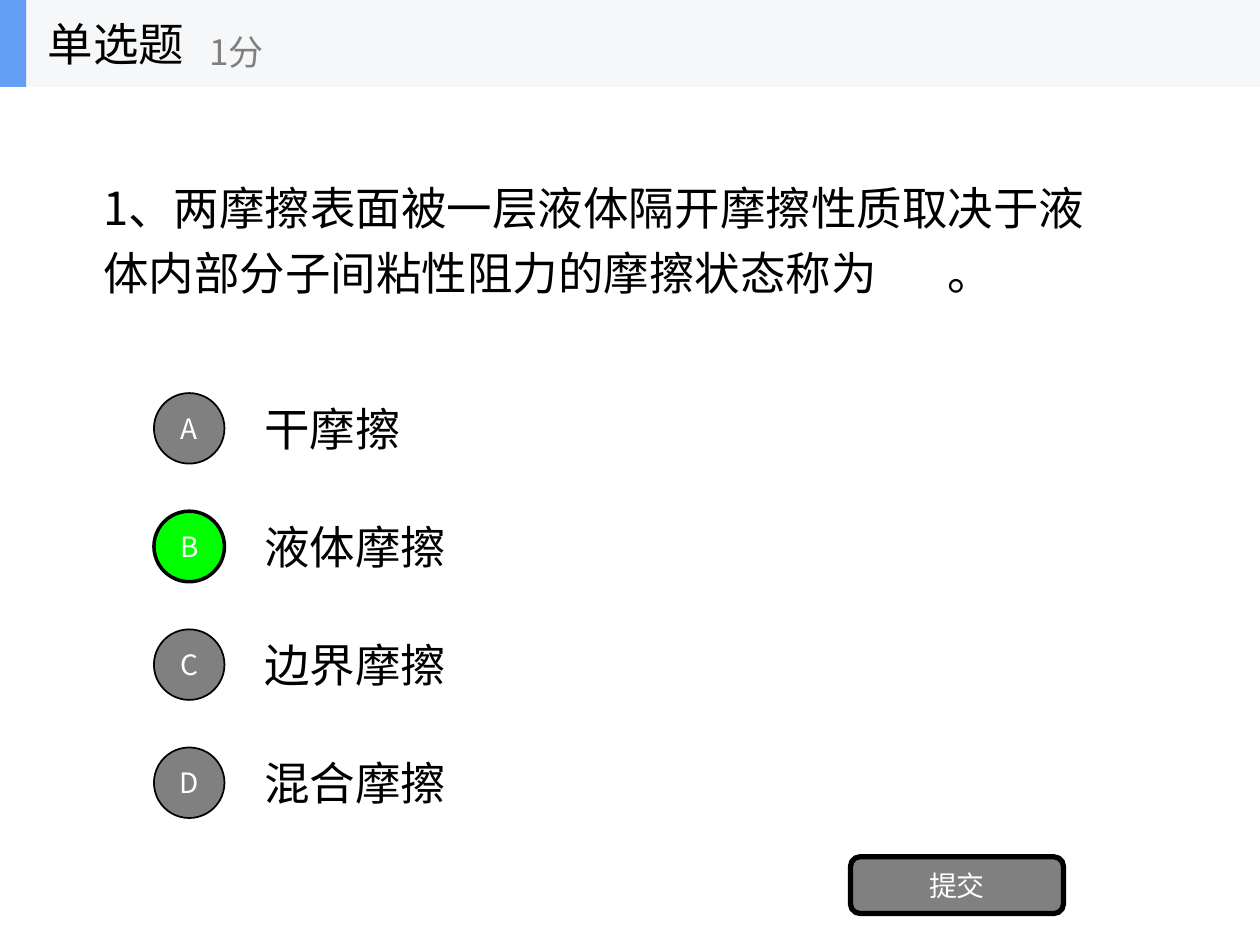
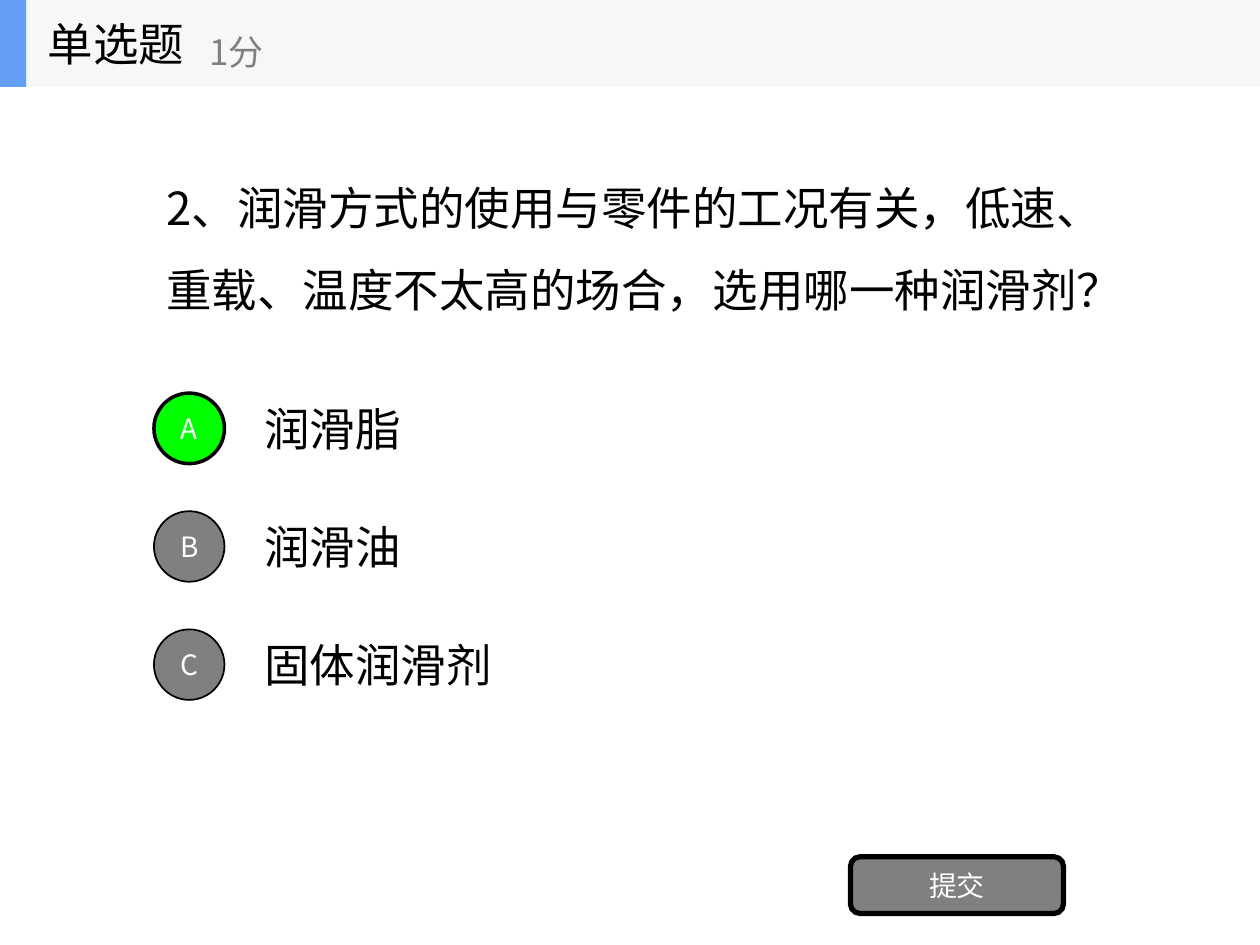
import pptx
import pptx.util
from pptx.dml.color import RGBColor
from pptx.enum.shapes import MSO_SHAPE
from pptx.enum.text import MSO_ANCHOR, MSO_AUTO_SIZE, PP_ALIGN
from pptx.oxml.ns import qn
from lxml import etree

Pt = pptx.util.Pt

FONT = "Noto Sans CJK SC"
BLACK = RGBColor(0x00, 0x00, 0x00)
WHITE = RGBColor(0xFF, 0xFF, 0xFF)
GREY = RGBColor(0x80, 0x80, 0x80)
GREEN = RGBColor(0x00, 0xFF, 0x00)
BAND = RGBColor(0xF6, 0xF7, 0xF8)
ACCENT = RGBColor(0x63, 0x9E, 0xF4)

WIDTH, HEIGHT = 720, 540
HEADER = (0, 0, WIDTH, 49.7)
ANSWERS = (88, 219.6, 560, 50.4)  # box of the first answer row
ROW_STEP = 67.5
BUTTON = (486, 489.6, 121.7, 32.4)
BODY, SCORE, SMALL = 26, 20, 16

BLANK_END = 477  # where the underlined gap stops, from the text edge
QUESTIONS = [
    dict(box=(51.8, 49.7, 596.2, 168.5), spacing=1.2,
         parts=["1、两摩擦表面被一层液体隔开摩擦性质取决于液体内部分子间粘性阻力的摩擦状态称为", "\t", " 。"],
         answers=["干摩擦", "液体摩擦", "边界摩擦", "混合摩擦"], correct="B"),
    dict(box=(88, 49.7, 560, 168.5), spacing=1.5,
         parts=["2、润滑方式的使用与零件的工况有关，低速、重载、温度不太高的场合，选用哪一种润滑剂？"],
         answers=["润滑脂", "润滑油", "固体润滑剂"], correct="A"),
]


def format_run(r, size, color):
    r.font.size = Pt(size)
    r.font.name = FONT
    r.font.color.rgb = color
    etree.SubElement(r.font._element, qn("a:ea")).set("typeface", FONT)


def write(sp, text, size, color, align=PP_ALIGN.LEFT, wrap=False):
    tf = sp.text_frame
    tf.text = text
    tf.word_wrap = wrap
    tf.auto_size = MSO_AUTO_SIZE.NONE
    tf.vertical_anchor = MSO_ANCHOR.MIDDLE
    p = tf.paragraphs[0]
    p.alignment = align
    for r in p.runs:
        format_run(r, size, color)
    return p


def add_text(s, box, text, size, color, wrap=False):
    sp = s.shapes.add_textbox(*map(Pt, box))
    return write(sp, text, size, color, wrap=wrap)


def add_box(s, kind, box, fill, line_width=0):
    sp = s.shapes.add_shape(kind, *map(Pt, box))
    sp.shadow.inherit = False
    sp.fill.solid()
    sp.fill.fore_color.rgb = fill
    if line_width:
        sp.line.color.rgb = BLACK
        sp.line.width = Pt(line_width)
    else:
        sp.line.fill.background()
    return sp


def add_question(s, box, parts, spacing):
    p = add_text(s, box, parts[0], BODY, BLACK, wrap=True)
    p.line_spacing = spacing
    if len(parts) > 1:
        # The blank to fill in is an underlined tab
        tabs = etree.SubElement(p._p.get_or_add_pPr(), qn("a:tabLst"))
        etree.SubElement(tabs, qn("a:tab"), pos=str(Pt(BLANK_END)), algn="l")
    for part in parts[1:]:
        r = p.add_run()
        r.text = part
        format_run(r, BODY, BLACK)
        r.font.underline = part == "\t"


def add_answers(s, box, answers, correct):
    left, top, width, height = box
    size, text_left = 40.3, 56
    for i, (letter, answer) in enumerate(zip("ABCD", answers)):
        y = top + i * ROW_STEP
        add_text(s, (left + text_left, y, width - text_left, height),
                 answer, BODY, BLACK, wrap=True)
        right = letter == correct
        badge = add_box(s, MSO_SHAPE.OVAL, (left, y + (height - size) / 2, size, size),
                        GREEN if right else GREY, 2 if right else 1)
        write(badge, letter, SMALL, WHITE, PP_ALIGN.CENTER)


def add_button(s, box):
    button = add_box(s, MSO_SHAPE.ROUNDED_RECTANGLE, box, GREY, 3)
    write(button, "提交", SMALL, WHITE, PP_ALIGN.CENTER)


def add_header(s, box):
    left, top, width, height = box
    add_box(s, MSO_SHAPE.RECTANGLE, box, BAND)
    accent = add_box(s, MSO_SHAPE.RECTANGLE, (left, top, 15, height), ACCENT)
    # Bring the title in front of the band
    title = s.shapes.title
    accent._element.addnext(title._element)
    title.left, title.top = Pt(left + 20.2), Pt(top)
    title.width, title.height = Pt(150), Pt(height)
    write(title, "单选题", BODY, BLACK)
    add_text(s, (left + 112.5, top + 9, 180, height - 9), "1分", SCORE, GREY)


def add_quiz_slide(prs, question):
    s = prs.slides.add_slide(prs.slide_layouts[5])
    add_question(s, question["box"], question["parts"], question["spacing"])
    add_answers(s, ANSWERS, question["answers"], question["correct"])
    add_button(s, BUTTON)
    add_header(s, HEADER)


def main():
    prs = pptx.Presentation()
    prs.slide_width, prs.slide_height = Pt(WIDTH), Pt(HEIGHT)
    for question in QUESTIONS:
        add_quiz_slide(prs, question)
    prs.save("out.pptx")


if __name__ == "__main__":
    main()
